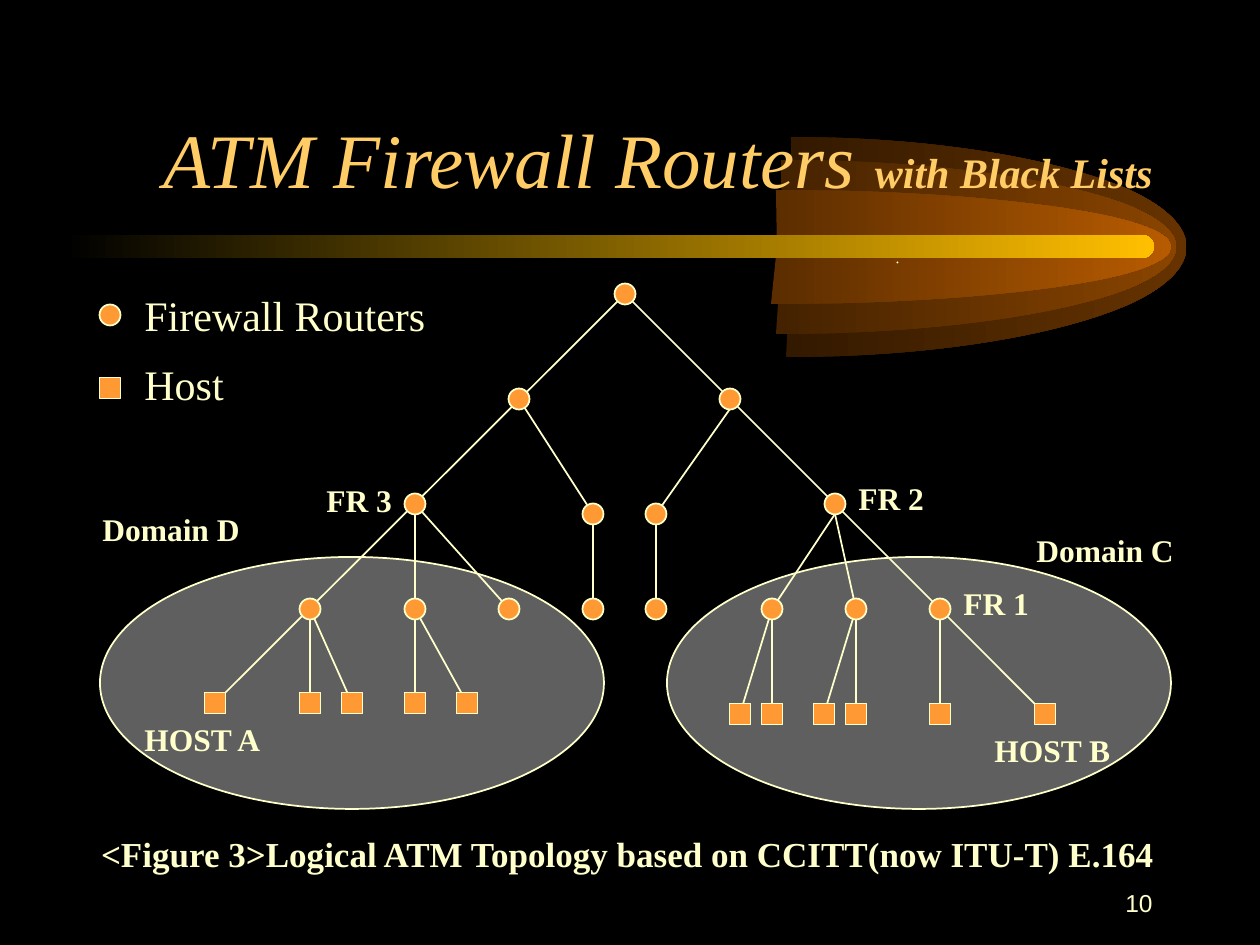
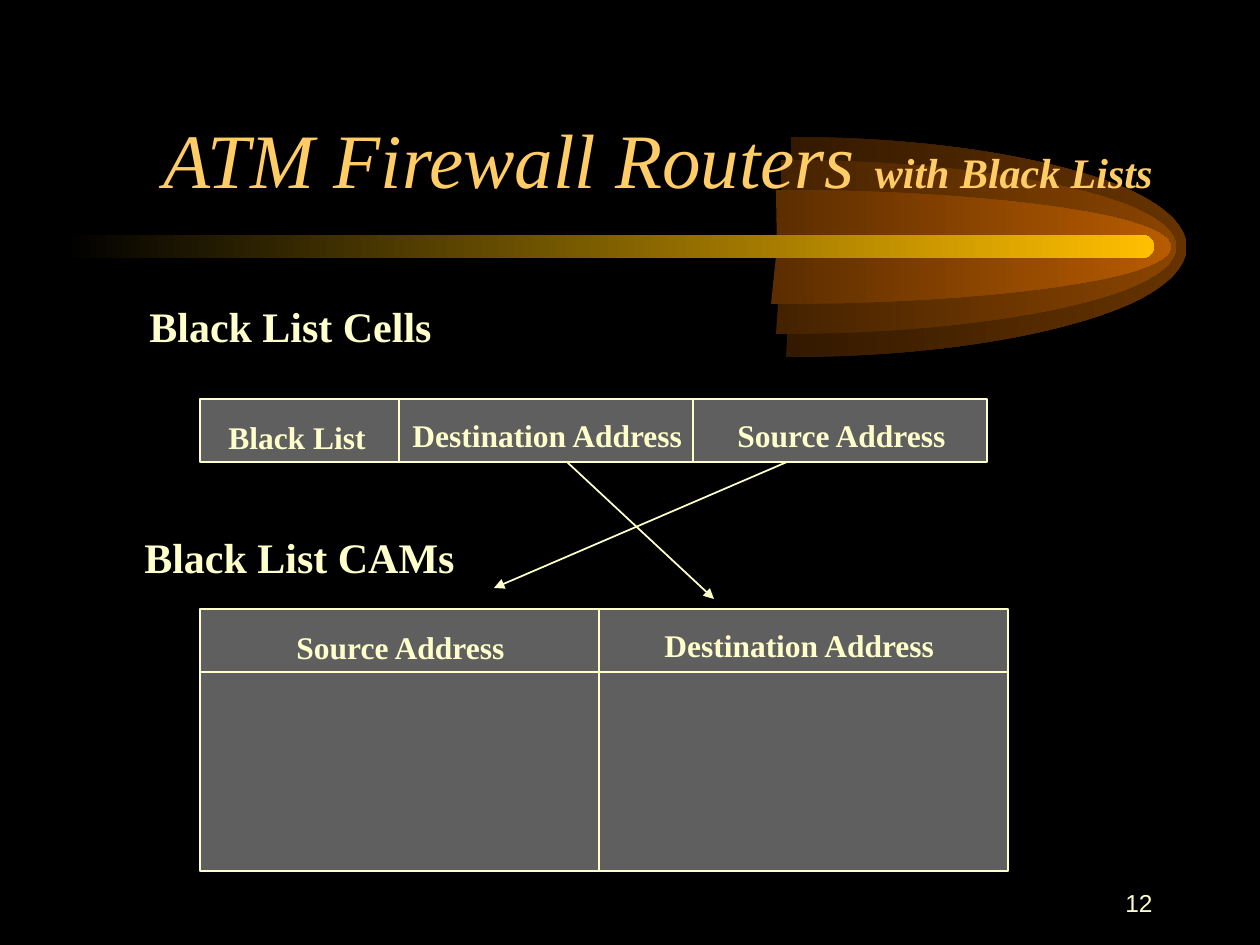
from dataclasses import dataclass

from lxml import etree
from pptx import Presentation
from pptx import util as u
from pptx.dml import color
from pptx.enum import shapes, text
from pptx.oxml import ns

EMU_PER_PX = 914400 / 126


@dataclass(frozen=True)
class Theme:
    black: str = "000000"
    title: str = "FFCC66"
    ink: str = "FFFFCC"
    panel: str = "5F5F5F"
    node: str = "FF9933"
    bar: str = "FFBF00"
    wings: tuple = ("663300", "894400", "B75B00")
    serif: str = "Times New Roman"
    sans: str = "Arial"
    title_size: int = 44
    heading_size: int = 24
    caption_size: int = 20
    label_size: int = 18
    number_size: int = 14
    line_width: int = 1


THEME = Theme()
OVAL = shapes.MSO_SHAPE.OVAL
RECTANGLE = shapes.MSO_SHAPE.RECTANGLE
LEFT, CENTER, RIGHT = text.PP_ALIGN.LEFT, text.PP_ALIGN.CENTER, text.PP_ALIGN.RIGHT
TOP, MIDDLE, BOTTOM = (text.MSO_ANCHOR.TOP, text.MSO_ANCHOR.MIDDLE,
                       text.MSO_ANCHOR.BOTTOM)

NODE_SIZE = 21
AXIS_Y = 247
# Left edge and half height of each wing, from back to front.
WINGS = ((791, 110), (781, 87), (776, 57))
WING_WIDTH = 400
# Wing outline: x in px from its left edge, y in half heights from its axis.
WING_OUTLINE = (
    ("moveTo", ((5, -1),)),
    ("cubicBezTo", ((146, -1), (277, -0.8), (348, -0.5))),
    ("cubicBezTo", ((418, -0.19), (418, 0.19), (348, 0.5))),
    ("cubicBezTo", ((277, 0.8), (146, 1), (0, 1))),
    ("lnTo", ((6, 0),)),
    ("close", ()),
)

ROUTERS = {
    "root": (625, 294), "west": (519, 399), "east": (730, 399),
    "FR 3": (415, 504), "FR 2": (835, 504),
    "core west": (593, 514), "core east": (656, 514),
    "leaf west": (593, 609), "leaf east": (656, 609),
    "D1": (310, 609), "D2": (415, 609), "D3": (509, 609),
    "C1": (772, 609), "C2": (856, 609), "FR 1": (940, 609),
}
HOSTS = {
    "HOST A": (215, 703), "D1a": (310, 703), "D1b": (352, 703),
    "D2a": (415, 703), "D2b": (467, 703),
    "C1a": (740, 714), "C1b": (772, 714), "C2a": (824, 714),
    "C2b": (856, 714), "FR1a": (940, 714), "HOST B": (1045, 714),
}
LINKS = {
    "root": ("HOST A", "HOST B"),
    "west": ("core west",), "east": ("core east",),
    "core west": ("leaf west",), "core east": ("leaf east",),
    "FR 3": ("D2", "D3"), "FR 2": ("C1", "C2"),
    "D1": ("D1a", "D1b"), "D2": ("D2a", "D2b"),
    "C1": ("C1a", "C1b"), "C2": ("C2a", "C2b"), "FR 1": ("FR1a",),
}
LINKED_FROM_BOTTOM = ("east", "FR 2")
TOPOLOGY_LABELS = (
    ("HOST A", (132, 714, 144, 50)), ("HOST B", (982, 725, 141, 50)),
    ("FR 1", (951, 578, 91, 50)), ("FR 2", (846, 473, 91, 50)),
    ("FR 3", (314, 475, 91, 50)),
    ("Domain C", (1024, 525, 163, 50)), ("Domain D", (90, 504, 163, 50)),
)


def px(length):
    return u.Emu(round(length * EMU_PER_PX))


def rgb(value):
    return color.RGBColor.from_string(value)


def half(value):
    """The colour halfway between the given one and black."""
    return "".join(f"{channel // 2:02X}" for channel in rgb(value))


def fade(shape, start, end):
    """Fill a shape without outline from left to right."""
    shape.shadow.inherit = False
    shape.line.fill.background()
    shape.fill.gradient()
    shape.fill.gradient_angle = 0
    for stop, value in zip(shape.fill.gradient_stops, (start, end)):
        stop.color.rgb = rgb(value)


def add_outlined(page, kind, box, fill):
    shape = page.shapes.add_shape(kind, *map(px, box))
    shape.shadow.inherit = False
    shape.fill.solid()
    shape.fill.fore_color.rgb = rgb(fill)
    shape.line.color.rgb = rgb(THEME.ink)
    shape.line.width = u.Pt(THEME.line_width)


def add_line(page, start, end, arrow=False):
    line = page.shapes.add_connector(
        shapes.MSO_CONNECTOR.STRAIGHT, *map(px, (*start, *end)))
    line.line.color.rgb = rgb(THEME.ink)
    line.line.width = u.Pt(THEME.line_width)
    if arrow:
        etree.SubElement(line.line._get_or_add_ln(), ns.qn("a:tailEnd"),
                         type="triangle")
    etree.SubElement(line._element.spPr, ns.qn("a:effectLst"))


def add_text(page, box, spans, align=LEFT, anchor=TOP, wrap=False,
             ink=THEME.ink, font=THEME.serif):
    """Add one paragraph; spans are (words, size, bold, italic)."""
    frame = page.shapes.add_textbox(*map(px, box)).text_frame
    frame.word_wrap = wrap
    frame.vertical_anchor = anchor
    para = frame.paragraphs[0]
    para.alignment = align
    for words, size, bold, italic in spans:
        span = para.add_run()
        span.text = words
        span.font.name = font
        span.font.size = u.Pt(size)
        span.font.bold = bold
        span.font.italic = italic
        span.font.color.rgb = rgb(ink)


def add_label(page, words, box, size=THEME.label_size, bold=True, align=LEFT):
    add_text(page, box, [(words, size, bold, False)], align)


def add_node(page, kind, center):
    x, y = (value - NODE_SIZE / 2 for value in center)
    add_outlined(page, kind, (x, y, NODE_SIZE, NODE_SIZE), THEME.node)


def add_wing(page, left, half_height, fill):
    """Build the wing's box as a freeform, then give it the curved outline."""
    left -= 5
    builder = page.shapes.build_freeform(px(left), px(AXIS_Y - half_height))
    builder.add_line_segments(
        [(px(left + WING_WIDTH), px(AXIS_Y + half_height))])
    wing = builder.convert_to_shape()
    outline = next(wing._element.iter(ns.qn("a:path")))
    for child in list(outline):
        outline.remove(child)
    for command, points in WING_OUTLINE:
        step = etree.SubElement(outline, ns.qn(f"a:{command}"))
        for x, y in points:
            etree.SubElement(step, ns.qn("a:pt"), x=str(px(x)),
                             y=str(px((1 + y) * half_height)))
    fade(wing, half(fill), fill)


def add_page(deck, number):
    """Add a slide with the comet, the title and the page number."""
    page = deck.slides.add_slide(deck.slide_layouts[6])
    page.background.fill.solid()
    page.background.fill.fore_color.rgb = rgb(THEME.black)
    for (left, half_height), fill in zip(WINGS, THEME.wings):
        add_wing(page, left, half_height, fill)
    bar = page.shapes.add_shape(shapes.MSO_SHAPE.ROUNDED_RECTANGLE,
                                *map(px, (63, 235, 1091, 23)))
    bar.adjustments[0] = 0.5
    fade(bar, THEME.black, THEME.bar)
    add_text(page, (95, 53, 1070, 157),
             [("ATM Firewall Routers ", THEME.title_size, False, True),
              ("with Black Lists", THEME.heading_size, True, True)],
             RIGHT, BOTTOM, wrap=True, ink=THEME.title)
    add_text(page, (903, 871, 262, 63),
             [(str(number), THEME.number_size, False, False)],
             RIGHT, MIDDLE, wrap=True, font=THEME.sans)
    return page


def add_frame(page, box, dividers, header=None):
    """Draw a panel split by vertical dividers and an optional header line."""
    left, top, width, height = box
    add_outlined(page, RECTANGLE, box, THEME.panel)
    for x in dividers:
        add_line(page, (x, top), (x, top + height))
    if header:
        add_line(page, (left, top + header), (left + width, top + header))


def draw_topology(page):
    for left in (100, 667):
        add_outlined(page, OVAL, (left, 557, 504, 252), THEME.panel)
    add_line(page, (897, 262), (898, 263))
    places = ROUTERS | HOSTS
    for parent, children in LINKS.items():
        x, y = places[parent]
        if parent in LINKED_FROM_BOTTOM:
            y += NODE_SIZE // 2
        for child in children:
            add_line(page, (x, y), places[child])
    for kind, centers in ((OVAL, ROUTERS), (RECTANGLE, HOSTS)):
        for center in centers.values():
            add_node(page, kind, center)
    for words, box in TOPOLOGY_LABELS:
        add_label(page, words, box)


def draw_legend(page):
    entries = ((OVAL, "Firewall Routers", 315, 283, 306),
               (RECTANGLE, "Host", 388, 352, 105))
    for kind, words, node_y, top, width in entries:
        add_node(page, kind, (110, node_y))
        add_label(page, words, (132, top, width, 63), THEME.heading_size,
                  bold=False)


def draw_black_lists(page):
    add_label(page, "Black List Cells", (137, 294, 320, 63), THEME.heading_size)
    add_label(page, "Black List CAMs", (132, 525, 350, 63), THEME.heading_size)
    add_frame(page, (200, 399, 787, 63), (399, 693))
    add_frame(page, (200, 609, 808, 262), (599,), header=63)
    fields = (("Black List", (216, 412, 163, 50)),
              ("Destination Address", (400, 410, 297, 50)),
              ("Source Address", (725, 410, 236, 50)),
              ("Source Address", (284, 622, 236, 50)),
              ("Destination Address", (652, 620, 297, 50)))
    for words, box in fields:
        add_label(page, words, box)
    add_line(page, (787, 462), (494, 588), arrow=True)
    add_line(page, (567, 462), (714, 599), arrow=True)


def main():
    deck = Presentation()
    deck.slide_width, deck.slide_height = px(1260), px(945)

    topology = add_page(deck, 10)
    draw_topology(topology)
    draw_legend(topology)
    add_label(topology,
              "<Figure 3>Logical ATM Topology based on CCITT(now ITU-T) E.164",
              (84, 826, 1087, 55), THEME.caption_size, align=CENTER)

    draw_black_lists(add_page(deck, 12))
    deck.save("out.pptx")


if __name__ == "__main__":
    main()
